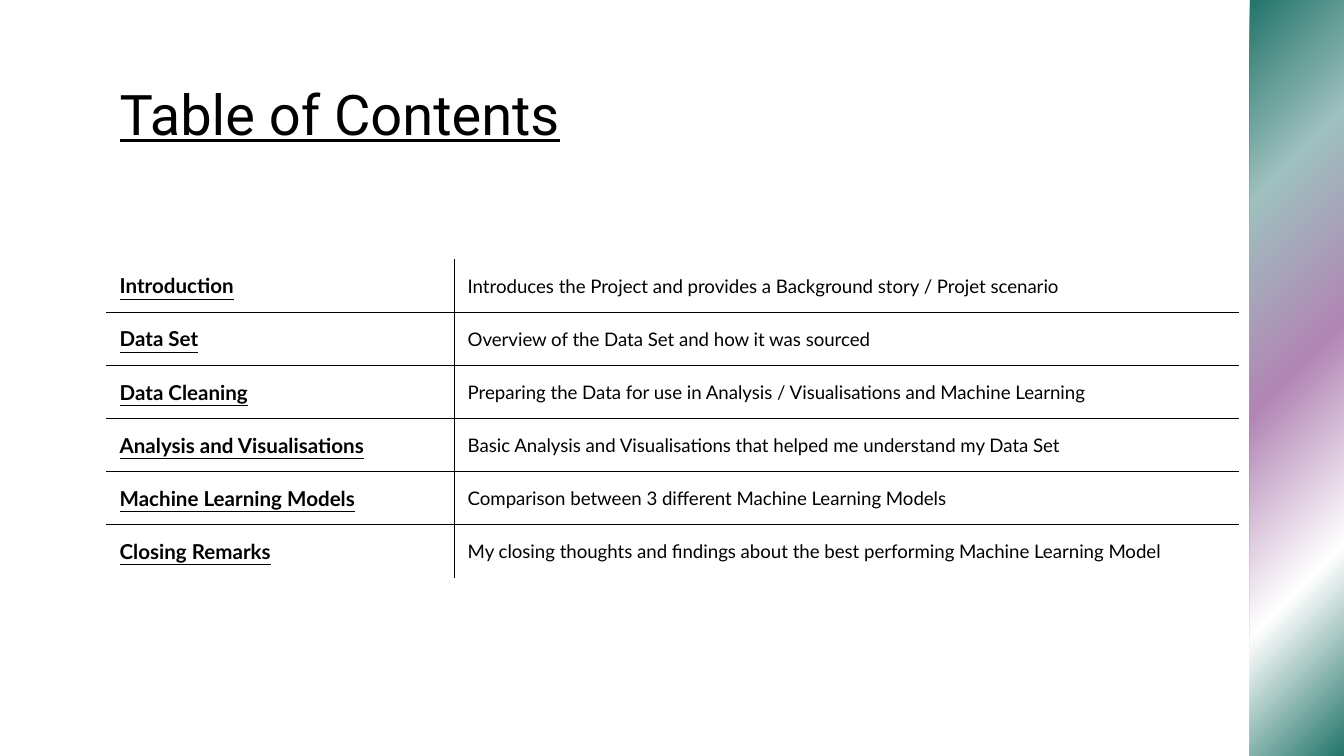
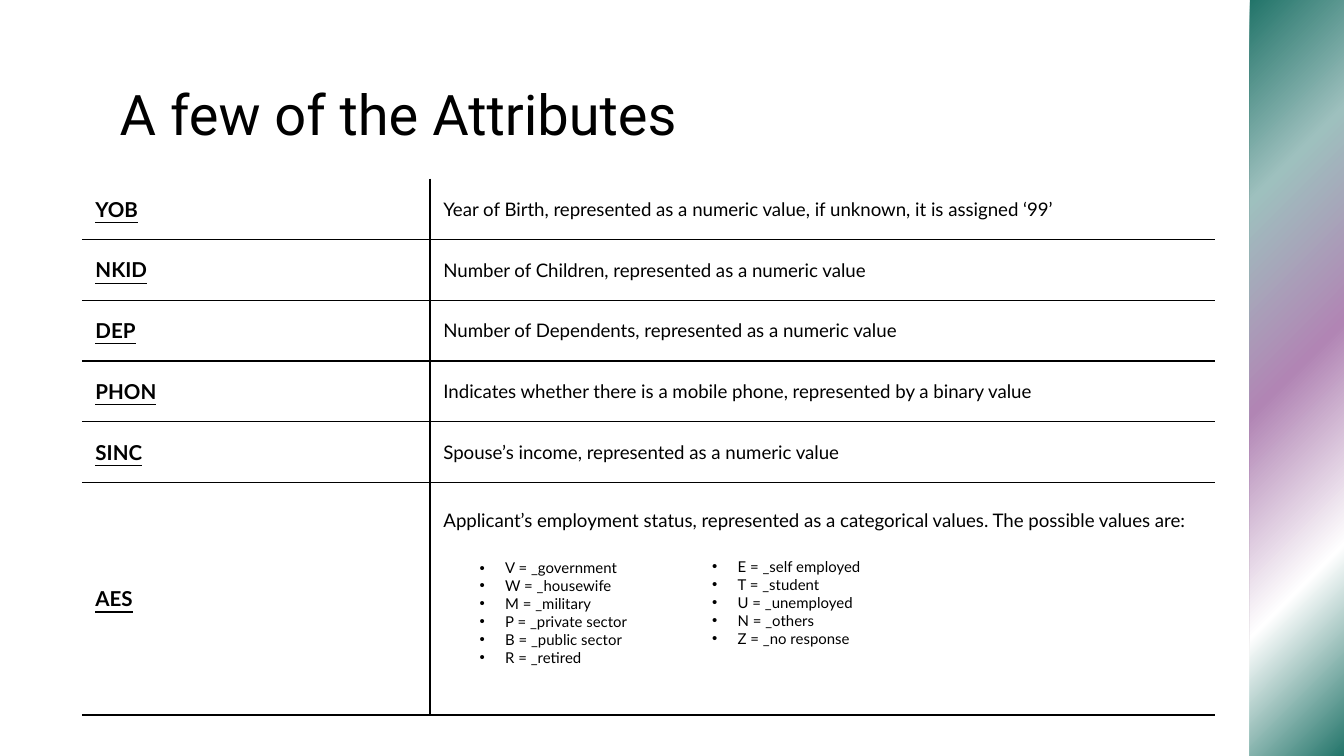
from dataclasses import dataclass

from lxml.etree import SubElement
from pptx import Presentation
from pptx.dml.color import RGBColor as Rgb
from pptx.enum.shapes import MSO_SHAPE as Shape
from pptx.enum.text import MSO_ANCHOR as Anchor, MSO_AUTO_SIZE as AutoSize, PP_ALIGN as Align
from pptx.oxml.ns import qn
from pptx.util import Inches, Pt

COLORS = {
    "ink": "000000",
    "paper": "FFFFFF",
    "teal": "207368",
    "mist": "9EC0BE",
    "mauve": "B185B4",
}
BAND_STOPS = ((0, "teal"), (24, "mist"), (49, "mauve"), (75, "paper"), (100, "teal"))
TITLE_FONT = "Roboto"
BODY_FONT = "Lato"
PLAIN_TABLE = "{2D5ABB26-0587-4C30-8999-92F81FD0307C}"
COLUMN_WIDTHS = (2.59, 5.84)


@dataclass(frozen=True)
class Entry:
    term: str
    meaning: str
    height: float
    space_below: float = 0


@dataclass(frozen=True)
class Glossary:
    left: float
    top: float
    entries: tuple[Entry, ...]
    closed: bool = False


@dataclass(frozen=True)
class BulletList:
    left: float
    top: float
    height: float
    items: tuple[str, ...]


CONTENTS = Glossary(0.79, 1.93, tuple(Entry(term, meaning, 2.37 / 6) for term, meaning in (
    ("Introduction", "Introduces the Project and provides a Background story / Projet scenario"),
    ("Data Set", "Overview of the Data Set and how it was sourced"),
    ("Data Cleaning", "Preparing the Data for use in Analysis / Visualisations and Machine Learning"),
    ("Analysis and Visualisations",
     "Basic Analysis and Visualisations that helped me understand my Data Set"),
    ("Machine Learning Models", "Comparison between 3 different Machine Learning Models"),
    ("Closing Remarks",
     "My closing thoughts and findings about the best performing Machine Learning Model"),
)))

ATTRIBUTES = Glossary(0.61, 1.33, (
    *(Entry(term, meaning, 2.26 / 5) for term, meaning in (
        ("YOB", "Year of Birth, represented as a numeric value, if unknown, it is assigned ‘99’"),
        ("NKID", "Number of Children, represented as a numeric value"),
        ("DEP", "Number of Dependents, represented as a numeric value"),
        ("PHON", "Indicates whether there is a mobile phone, represented by a binary value"),
        ("SINC", "Spouse’s income, represented as a numeric value"),
    )),
    Entry("AES", "Applicant’s employment status, represented as a categorical values. "
          "The possible values are:", 1.73, space_below=1.16),
), closed=True)

STATUS_LISTS = (
    BulletList(3.47, 4.11, 0.91, (
        "V = _government", "W = _housewife", "M = _military",
        "P = _private sector", "B = _public sector", "R = _retired")),
    BulletList(5.2, 4.1, 0.77, (
        "E = _self employed", "T = _student", "U = _unemployed",
        "N = _others", "Z = _no response")),
)


def add_span(para, text: str, font: str, size: float, bold: bool = False,
             underline: bool = False) -> None:
    span = para.add_run()
    span.text = text
    span.font.name = font
    span.font.size = Pt(size)
    span.font.bold = bold
    span.font.underline = underline
    span.font.color.rgb = Rgb.from_string(COLORS["ink"])


def add_solid(parent, color: str) -> None:
    SubElement(SubElement(parent, qn("a:solidFill")), qn("a:srgbClr"), val=COLORS[color])


def add_band(page, layout) -> None:
    band = page.shapes.add_shape(
        Shape.RECTANGLE, Inches(9.3), Inches(-0.03), Inches(0.7), Inches(5.68))
    band.shadow.inherit = False
    band.line.fill.background()
    band.fill.gradient()
    band.fill.gradient_angle = 315
    stops = band.element.spPr.find(".//" + qn("a:gsLst"))
    for stop in list(stops):
        stops.remove(stop)
    for percent, color in BAND_STOPS:
        stop = SubElement(stops, qn("a:gs"), pos=str(percent * 1000))
        SubElement(stop, qn("a:srgbClr"), val=COLORS[color])
    layout.shapes.element.insert(2, band.element)


def add_page(deck, layout, title: str, underline: bool = False):
    page = deck.slides.add_slide(layout)
    box = page.shapes.title
    box.left, box.top = Inches(0.79), Inches(0.49)
    box.width, box.height = Inches(8.43), Inches(0.63)
    frame = box.text_frame
    frame.auto_size = AutoSize.NONE
    frame.vertical_anchor = Anchor.TOP
    frame.margin_left = frame.margin_right = Inches(0.1)
    frame.margin_top = frame.margin_bottom = Inches(0.1)
    para = frame.paragraphs[0]
    para.alignment = Align.LEFT
    add_span(para, title, TITLE_FONT, 30, underline=underline)
    return page


def set_borders(cell, sides: set[str]) -> None:
    properties = cell._tc.get_or_add_tcPr()
    for side in "LRTB":
        if side in sides:
            line = SubElement(properties, qn(f"a:ln{side}"), w=str(Pt(0.75)))
            add_solid(line, "ink")


def add_glossary(page, glossary: Glossary) -> None:
    entries = glossary.entries
    table_frame = page.shapes.add_table(
        len(entries), len(COLUMN_WIDTHS), Inches(glossary.left), Inches(glossary.top),
        Inches(sum(COLUMN_WIDTHS)), Inches(sum(entry.height for entry in entries)))
    table = table_frame.table
    table.first_row = table.horz_banding = False
    table_frame.element.find(".//" + qn("a:tableStyleId")).text = PLAIN_TABLE
    for column, width in zip(table.columns, COLUMN_WIDTHS):
        column.width = Inches(width)
    for index, entry in enumerate(entries):
        table.rows[index].height = Inches(entry.height)
        rules = set()
        if index > 0:
            rules.add("T")
        if index < len(entries) - 1 or glossary.closed:
            rules.add("B")
        term, meaning = table.cell(index, 0), table.cell(index, 1)
        for cell, inner_side in ((term, "R"), (meaning, "L")):
            set_borders(cell, rules | {inner_side})
            cell.fill.background()
            cell.vertical_anchor = Anchor.MIDDLE
            cell.margin_left = cell.margin_right = Inches(0.1)
            cell.margin_top = cell.margin_bottom = Inches(0)
        meaning.margin_bottom = Inches(entry.space_below)
        add_span(term.text_frame.paragraphs[0], entry.term, BODY_FONT, 11,
                 bold=True, underline=True)
        add_span(meaning.text_frame.paragraphs[0], entry.meaning, BODY_FONT, 10)


def add_bullets(page, bullets: BulletList) -> None:
    box = page.shapes.add_textbox(
        Inches(bullets.left), Inches(bullets.top), Inches(1.97), Inches(bullets.height))
    frame = box.text_frame
    frame.word_wrap = True
    frame.auto_size = AutoSize.SHAPE_TO_FIT_TEXT
    for index, item in enumerate(bullets.items):
        para = frame.add_paragraph() if index else frame.paragraphs[0]
        properties = para._p.get_or_add_pPr()
        properties.set("marL", str(Inches(0.19)))
        properties.set("indent", str(Inches(-0.19)))
        SubElement(SubElement(properties, qn("a:buClr")), qn("a:srgbClr"), val=COLORS["ink"])
        SubElement(properties, qn("a:buFont"), typeface="Arial")
        SubElement(properties, qn("a:buChar"), char="•")
        add_span(para, item, BODY_FONT, 8)


def main() -> None:
    deck = Presentation()
    deck.slide_width = Inches(10)
    deck.slide_height = Inches(10 * 9 / 16)
    layout = deck.slide_layouts.get_by_name("Title Only")
    layout.background.fill.solid()
    layout.background.fill.fore_color.rgb = Rgb.from_string(COLORS["paper"])

    contents_page = add_page(deck, layout, "Table of Contents", underline=True)
    add_band(contents_page, layout)
    add_glossary(contents_page, CONTENTS)

    attributes_page = add_page(deck, layout, "A few of the Attributes")
    add_glossary(attributes_page, ATTRIBUTES)
    for bullets in STATUS_LISTS:
        add_bullets(attributes_page, bullets)

    deck.save("out.pptx")


if __name__ == "__main__":
    main()
